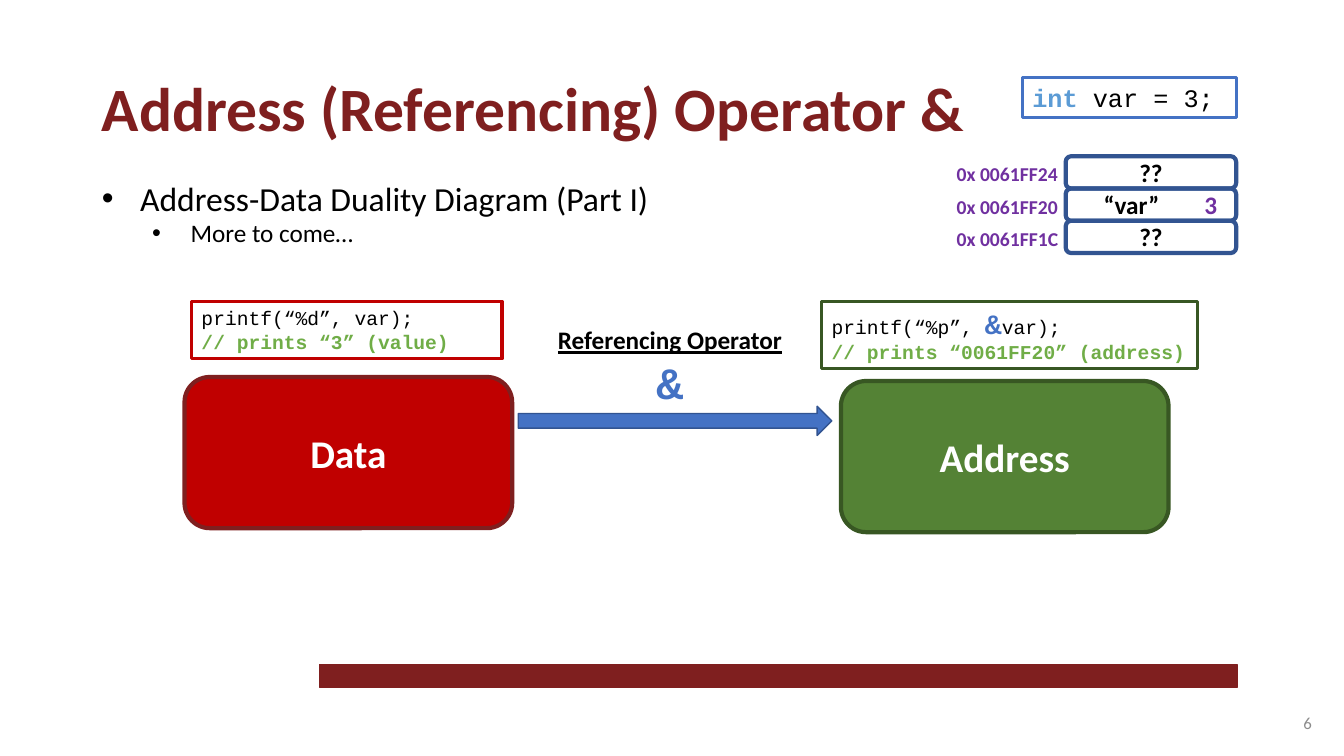
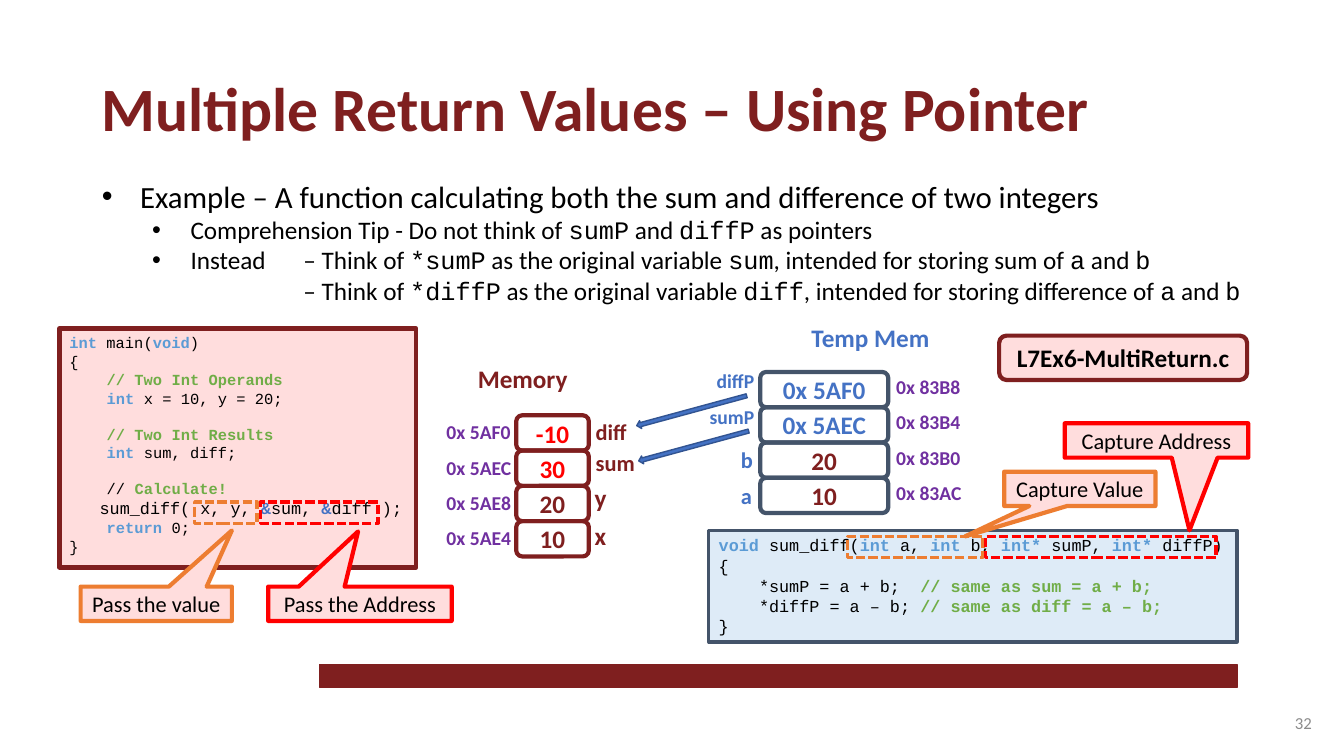
from dataclasses import dataclass
from typing import Optional

from lxml.etree import SubElement
from pptx import Presentation
from pptx.dml.color import RGBColor
from pptx.enum.dml import MSO_LINE
from pptx.enum.shapes import MSO_SHAPE
from pptx.enum.text import MSO_ANCHOR, MSO_AUTO_SIZE, PP_ALIGN
from pptx.oxml.ns import qn
from pptx.shapes.autoshape import Shape
from pptx.slide import Slide
from pptx.text.text import TextFrame
from pptx.util import Inches, Pt

COLORS = {
    "maroon": "7F1F1F", "black": "000000", "white": "FFFFFF", "gray": "8C8C8C",
    "blue": "4472C4", "navy": "325491", "keyword": "5B9BD5", "comment": "70AD47",
    "purple": "7030A0", "crimson": "C00000", "red": "FF0000", "orange": "ED7D31",
    "green": "548235", "forest": "385723", "pink": "FFDDDD", "ice": "DEEBF7",
    "slate": "44546A",
}
SANS, MONO = "Calibri", "Courier New"


@dataclass(frozen=True)
class Span:
    text: str
    color: str = "black"
    bold: bool = False
    size: Optional[float] = None
    font: Optional[str] = None
    underline: bool = False


@dataclass(frozen=True)
class Line:
    spans: tuple[Span, ...]
    size: Optional[float] = None
    indent: float = 0
    hanging: float = 0
    bullet: bool = False
    level: int = 0
    gap: float = 0


@dataclass(frozen=True)
class Area:
    left: float
    top: float
    width: float
    height: float


@dataclass(frozen=True)
class Row:
    address: str
    value: str
    color: str = "black"
    name: str = ""
    name_left: float = 0
    name_top: float = 0
    name_size: float = 16


@dataclass(frozen=True)
class Stack:
    cell: Area
    line: str
    pitch: float
    address_left: float
    address_drop: float
    name_color: str
    rows: tuple[Row, ...]


@dataclass(frozen=True)
class Callout:
    text: str
    area: Area
    tip: tuple[float, float]
    line: str
    target: Area


# Text
def color(name: str) -> RGBColor:
    return RGBColor.from_string(COLORS[name])


def keyword(text: str) -> Span:
    return Span(text, "keyword", True)


def comment(text: str) -> Span:
    return Span(text, "comment", True)


def mono(text: str) -> Span:
    return Span(text, font=MONO)


def code(*parts: "Span | str", size: Optional[float] = None, indent: float = 0, gap: float = 0) -> Line:
    spans = tuple(Span(part) if isinstance(part, str) else part for part in parts)
    return Line(spans, size, indent, gap=gap)


def bullet(*parts: "Span | str", size: float, level: int = 0) -> Line:
    return Line(code(*parts).spans, size, 0.88 if level else 0.38, -0.38, True, level)


def write(frame: TextFrame, lines: list[Line], size: float, font: str = SANS,
          align: PP_ALIGN = PP_ALIGN.LEFT, anchor: MSO_ANCHOR = MSO_ANCHOR.TOP) -> None:
    frame.word_wrap = True
    frame.auto_size = MSO_AUTO_SIZE.NONE
    frame.vertical_anchor = anchor
    for index, line in enumerate(lines):
        para = frame.paragraphs[0] if index == 0 else frame.add_paragraph()
        para.alignment = align
        para.level = line.level
        para.space_before, para.space_after = Pt(line.gap), Pt(0)
        properties = para._p.get_or_add_pPr()
        properties.set("marL", str(Inches(line.indent)))
        properties.set("indent", str(Inches(line.hanging)))
        if line.bullet:
            SubElement(properties, qn("a:buFont")).set("typeface", "Arial")
            SubElement(properties, qn("a:buChar")).set("char", "•")
        else:
            SubElement(properties, qn("a:buNone"))
        for span in line.spans:
            run = para.add_run()
            run.text = span.text
            run.font.name = span.font or font
            run.font.size = Pt(span.size or line.size or size)
            run.font.bold = span.bold
            run.font.underline = span.underline
            run.font.color.rgb = color(span.color)


# Shapes
def place(shape: Shape, area: Area) -> None:
    shape.left, shape.top = Inches(area.left), Inches(area.top)
    shape.width, shape.height = Inches(area.width), Inches(area.height)


def add_label(page: Slide, area: Area, lines: list[Line], size: float,
              align: PP_ALIGN = PP_ALIGN.LEFT, anchor: MSO_ANCHOR = MSO_ANCHOR.TOP) -> None:
    box = page.shapes.add_textbox(0, 0, 0, 0)
    place(box, area)
    write(box.text_frame, lines, size, align=align, anchor=anchor)


def add_word(page: Slide, area: Area, text: str, size: float, ink: str) -> None:
    add_label(page, area, [Line((Span(text, ink, True),))], size)


def add_box(page: Slide, kind: MSO_SHAPE, area: Area, line: str, width: float,
            fill: Optional[str] = None, dashed: bool = False) -> Shape:
    box = page.shapes.add_shape(kind, 0, 0, 0, 0)
    place(box, area)
    box.shadow.inherit = False
    if fill:
        box.fill.solid()
        box.fill.fore_color.rgb = color(fill)
    else:
        box.fill.background()
    box.line.color.rgb = color(line)
    box.line.width = Pt(width)
    if dashed:
        box.line.dash_style = MSO_LINE.SQUARE_DOT
    return box


def add_centered(page: Slide, kind: MSO_SHAPE, area: Area, line: str, span: Span,
                 size: float, fill: Optional[str] = None) -> Shape:
    box = add_box(page, kind, area, line, 3, fill)
    box.text_frame.margin_top = box.text_frame.margin_bottom = 0
    write(box.text_frame, [Line((span,))], size, align=PP_ALIGN.CENTER, anchor=MSO_ANCHOR.MIDDLE)
    return box


def add_code(page: Slide, area: Area, line: str, fill: str, lines: list[Line],
             size: float, width: float = 2.25) -> None:
    box = add_box(page, MSO_SHAPE.RECTANGLE, area, line, width, fill)
    write(box.text_frame, lines, size, MONO)


def add_stack(page: Slide, stack: Stack) -> list[Shape]:
    cells = []
    for index, row in enumerate(stack.rows):
        top = stack.cell.top + index * stack.pitch
        area = Area(stack.cell.left, top, stack.cell.width, stack.cell.height)
        cells.append(add_centered(page, MSO_SHAPE.ROUNDED_RECTANGLE, area, stack.line,
                                  Span(row.value, row.color, True), 18))
        add_word(page, Area(stack.address_left, top + stack.address_drop, 1.27, 0.34),
                 row.address, 14, "purple")
        if row.name:
            add_word(page, Area(row.name_left, row.name_top, 0.74, 0.37),
                     row.name, row.name_size, stack.name_color)
    return cells


def add_callout(page: Slide, callout: Callout) -> None:
    add_box(page, MSO_SHAPE.RECTANGLE, callout.target, callout.line, 2.25, dashed=True)
    box = add_centered(page, MSO_SHAPE.RECTANGULAR_CALLOUT, callout.area, callout.line,
                       Span(callout.text), 16, "pink")
    box.adjustments[0], box.adjustments[1] = callout.tip


# Shared page frame
def add_page(deck: Presentation, title: str, number: str, lines: list[Line], body: Area) -> Slide:
    page = deck.slides.add_slide(deck.slide_layouts[1])
    heading, content = page.placeholders[0], page.placeholders[1]
    place(heading, Area(0.91, 0.64, 10.9, 0.84))
    write(heading.text_frame, [Line((Span(title, "maroon", True),))], 44)
    place(content, body)
    write(content.text_frame, lines, 18)
    add_box(page, MSO_SHAPE.RECTANGLE, Area(3.17, 6.59, 9.1, 0.23), "maroon", 1, "maroon")
    add_label(page, Area(10.11, 6.97, 3, 0.4), [Line((Span(number, "gray"),))], 12,
              PP_ALIGN.RIGHT, MSO_ANCHOR.MIDDLE)
    return page


def add_operator_page(deck: Presentation) -> None:
    page = add_page(deck, "Address (Referencing) Operator &", "6", [
        bullet("Address-Data Duality Diagram (Part I)", size=24),
        bullet("More to come…", size=18, level=1),
    ], Area(0.91, 1.71, 8.4, 1.2))

    # Declaration and its memory
    add_code(page, Area(10.14, 0.77, 2.12, 0.4), "blue", "white",
             [code(keyword("int "), "var = 3;")], 18)
    cells = add_stack(page, Stack(
        Area(10.57, 1.55, 1.69, 0.32), "navy", 0.32, 9.39, 0.01, "black",
        (Row("0x 0061FF24", "??"), Row("0x 0061FF20", "“var”\t"), Row("0x 0061FF1C", "??"))))
    frame = cells[1].text_frame
    frame.margin_left = Inches(0.36)
    para = frame.paragraphs[0]
    para.alignment = PP_ALIGN.LEFT
    tabs = SubElement(para._p.get_or_add_pPr(), qn("a:tabLst"))
    SubElement(tabs, qn("a:tab"), pos=str(Inches(0.84)), algn="l")
    value = para.add_run()
    value.text = "3"
    value.font.name, value.font.size, value.font.bold = SANS, Pt(18), True
    value.font.color.rgb = color("purple")

    # Data to address
    for text, left, top, fill, line in (("Data", 1.83, 3.74, "crimson", "maroon"),
                                        ("Address", 8.34, 3.78, "green", "forest")):
        add_centered(page, MSO_SHAPE.ROUNDED_RECTANGLE, Area(left, top, 3.25, 1.5), line,
                     Span(text, "white", True), 28, fill)
    add_code(page, Area(1.9, 2.99, 3.08, 0.57), "crimson", "white", [
        code("printf(“%d”, var);"), code(comment("// prints “3” (value)"))], 14)
    add_code(page, Area(8.15, 2.99, 3.73, 0.67), "forest", "white", [
        code("printf(“%p”, ", Span("&", "blue", True, 20), "var);"),
        code(comment("// prints “0061FF20” (address)"))], 14)
    add_box(page, MSO_SHAPE.RIGHT_ARROW, Area(5.14, 4.03, 3.11, 0.29), "navy", 1, "blue")
    add_label(page, Area(5.13, 3.17, 3.03, 0.94), [
        code(Span("Referencing Operator", bold=True, underline=True)),
        code(Span("&", "blue", True, 32, MONO))], 18, PP_ALIGN.CENTER)


def add_pointer_page(deck: Presentation) -> None:
    page = add_page(deck, "Multiple Return Values – Using Pointer", "32", [
        bullet("Example – A function calculating both the sum and difference of two integers", size=22),
        bullet("Comprehension Tip - Do not think of ", mono("sumP"), " and ", mono("diffP"),
               " as pointers", size=18, level=1),
        bullet("Instead \t– Think of ", mono("*sumP"), " as the original variable ", mono("sum"),
               ", intended for storing sum of ", mono("a"), " and ", mono("b"), size=18, level=1),
        code("– Think of ", mono("*diffP"), " as the original variable ", mono("diff"),
             ", intended for storing difference of ", mono("a"), " and ", mono("b"), indent=2),
    ], Area(0.91, 1.71, 11.57, 1.38))

    # Code listings
    step, ampersand = 0.37, Span("&", "blue", True)
    add_code(page, Area(0.59, 3.26, 3.54, 2.37), "maroon", "pink", [
        code(keyword("int"), " main(", keyword("void"), ")"),
        code("{"),
        code(comment("// Two Int Operands"), indent=step),
        code(keyword("int "), "x = 10, y = 20;", indent=step),
        code(comment("// Two Int Results"), indent=step, gap=12.5),
        code(keyword("int"), " sum, diff;", indent=step),
        code("// ", comment("Calculate!"), indent=step, gap=12.5),
        code("sum_diff( x, y, ", ampersand, "sum, ", ampersand, "diff );", size=12, indent=0.3),
        code(keyword("return"), " 0;", indent=step),
        code("}"),
    ], 11, 3)
    add_code(page, Area(7.03, 5.26, 5.24, 1.11), "slate", "ice", [
        code(keyword("void "), "sum_diff(", keyword("int "), "a, ", keyword("int "), "b, ",
             keyword("int* "), "sumP, ", keyword("int* "), "diffP)"),
        code("{"),
        code("*sumP = a + b;  ", comment("// same as sum = a + b;"), indent=0.4),
        code("*diffP = a – b; ", comment("// same as diff = a – b;"), indent=0.4),
        code("}"),
    ], 12)

    # Memory stacks
    add_word(page, Area(4.64, 3.56, 1.12, 0.4), "Memory", 18, "maroon")
    add_stack(page, Stack(Area(5.12, 4.12, 0.72, 0.35), "maroon", 0.35, 4.33, 0, "maroon", (
        Row("0x 5AF0", "-10", "red", "diff", 5.81, 4.1),
        Row("0x 5AEC", "30", "red", "sum", 5.81, 4.41),
        Row("0x 5AE8", "20", "maroon", "y", 5.8, 4.74, 18),
        Row("0x 5AE4", "10", "maroon", "x", 5.8, 5.11, 18))))
    add_word(page, Area(7.95, 3.15, 1.42, 0.4), "Temp Mem", 18, "blue")
    add_stack(page, Stack(Area(7.54, 3.69, 1.27, 0.35), "slate", 0.35, 8.79, -0.02, "blue", (
        Row("0x 83B8", "0x 5AF0", "blue", "diffP", 7.01, 3.61, 14),
        Row("0x 83B4", "0x 5AEC", "blue", "sumP", 6.94, 3.97, 14),
        Row("0x 83B0", "20", "maroon", "b", 7.25, 4.38),
        Row("0x 83AC", "10", "maroon", "a", 7.25, 4.73))))
    for left, top in ((6.82, 3.51), (6.84, 3.86)):
        arrow = add_box(page, MSO_SHAPE.DOWN_ARROW, Area(left, top, 0.08, 1.13), "navy", 1, "blue")
        arrow.rotation = 74.8

    # Highlights with callouts
    for callout in (
        Callout("Pass the value", Area(0.8, 5.82, 1.5, 0.34), (0.5, -2.14), "orange",
                Area(1.93, 4.98, 0.62, 0.21)),
        Callout("Pass the Address", Area(2.66, 5.82, 1.82, 0.34), (-0.01, -2.11), "red",
                Area(2.58, 4.98, 1.17, 0.21)),
        Callout("Capture Value", Area(9.96, 4.68, 1.5, 0.34), (-0.76, 1.39), "orange",
                Area(8.41, 5.32, 1.34, 0.21)),
        Callout("Capture Address", Area(10.56, 4.2, 1.82, 0.34), (0.18, 2.62), "red",
                Area(9.77, 5.32, 2.29, 0.21)),
    ):
        add_callout(page, callout)
    add_centered(page, MSO_SHAPE.ROUNDED_RECTANGLE, Area(9.91, 3.33, 2.46, 0.44), "maroon",
                 Span("L7Ex6-MultiReturn.c", bold=True), 18, "pink")


def main() -> None:
    deck = Presentation()
    deck.slide_width, deck.slide_height = Inches(13.33), Inches(7.5)
    add_operator_page(deck)
    add_pointer_page(deck)
    deck.save("out.pptx")


if __name__ == "__main__":
    main()
